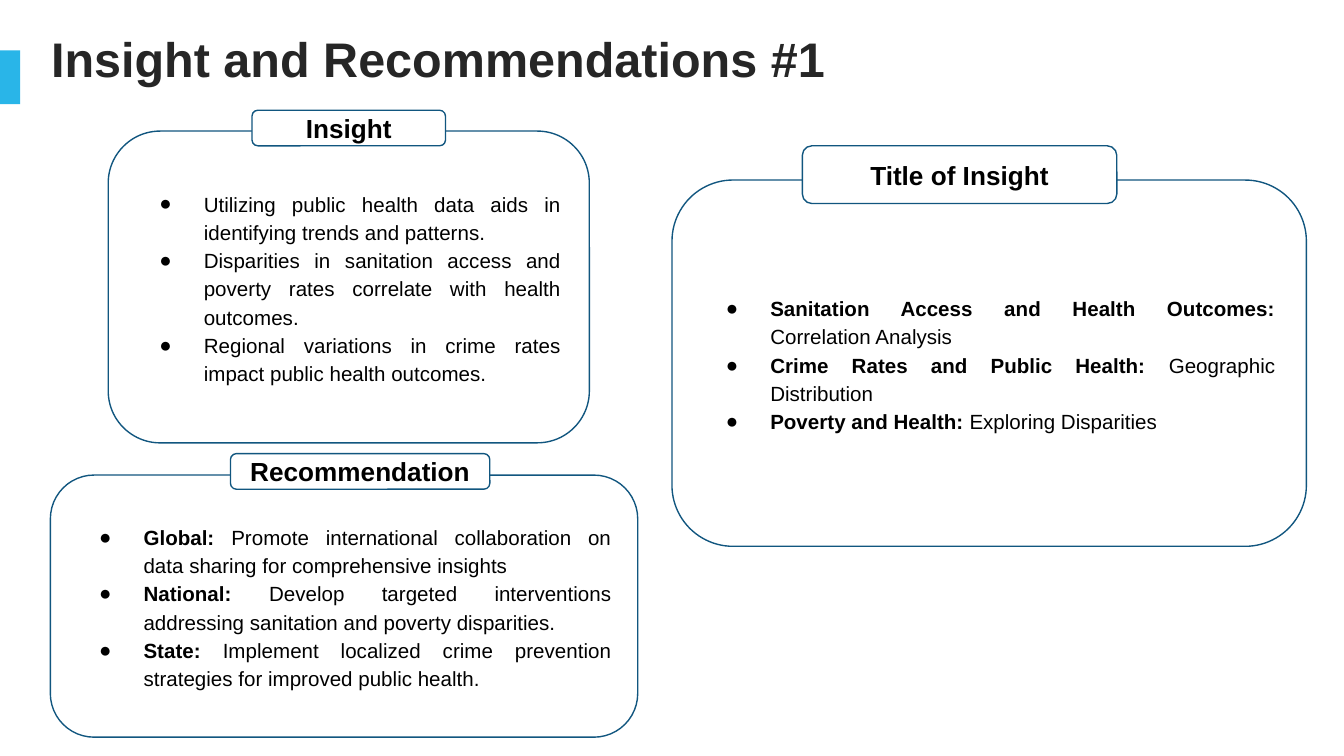
from dataclasses import dataclass
from typing import Any

from lxml.etree import SubElement
from pptx import Presentation
from pptx.dml.color import RGBColor
from pptx.enum.shapes import MSO_SHAPE
from pptx.enum.text import MSO_ANCHOR, MSO_AUTO_SIZE, PP_ALIGN
from pptx.oxml.ns import qn
from pptx.util import Inches, Pt

COLORS = {
    "accent": "29B5E8",
    "outline": "11567F",
    "panel": "FFFFFF",
    "title": "262626",
    "text": "000000",
}
CELL = Inches(0.1)
COLUMNS, ROWS = 100, 56.25
INSET = Inches(0.1)
FRAME_FORMAT = {
    "word_wrap": True,
    "margin_left": INSET,
    "margin_right": INSET,
    "margin_top": INSET,
    "margin_bottom": INSET,
}
PANEL_FRAME = FRAME_FORMAT | {"vertical_anchor": MSO_ANCHOR.MIDDLE}
TITLE_FRAME = FRAME_FORMAT | {
    "vertical_anchor": MSO_ANCHOR.TOP,
    "auto_size": MSO_AUTO_SIZE.NONE,
}
TITLE_PARAGRAPH = {"alignment": PP_ALIGN.LEFT, "line_spacing": 1.05, "space_after": Pt(10)}
BULLET_PARAGRAPH = {"alignment": PP_ALIGN.JUSTIFY, "line_spacing": 1.15}
LABEL_PARAGRAPH = {"alignment": PP_ALIGN.CENTER}
TITLE_FONT = {"name": "Arial", "size": Pt(26), "bold": True}
LABEL_FONT = {"name": "Arial", "size": Pt(14), "bold": True}
BODY_FONT = {"name": "Arial", "size": Pt(11)}


@dataclass(frozen=True)
class Area:
    column: float
    row: float
    columns: float
    rows: float

    def position(self) -> dict[str, int]:
        return {
            "left": round(self.column * CELL),
            "top": round(self.row * CELL),
            "width": round(self.columns * CELL),
            "height": round(self.rows * CELL),
        }


@dataclass(frozen=True)
class Item:
    text: str
    lead: str = ""


@dataclass(frozen=True)
class Panel:
    label: str
    label_area: Area
    area: Area
    items: tuple[Item, ...]


PANELS = (
    Panel(
        "Recommendation",
        Area(17.15, 33.75, 19.3, 2.65),
        Area(3.75, 35.35, 43.7, 19.5),
        (
            Item(" Promote international collaboration on data sharing for comprehensive insights", "Global:"),
            Item(" Develop targeted interventions addressing sanitation and poverty disparities.", "National:"),
            Item(" Implement localized crime prevention strategies for improved public health.", "State:"),
        ),
    ),
    Panel(
        "Insight",
        Area(18.75, 8.2, 14.4, 2.65),
        Area(8.05, 9.75, 35.8, 23.2),
        (
            Item("Utilizing public health data aids in identifying trends and patterns."),
            Item("Disparities in sanitation access and poverty rates correlate with health outcomes."),
            Item("Regional variations in crime rates impact public health outcomes."),
        ),
    ),
    Panel(
        "Title of Insight",
        Area(59.7, 10.85, 23.4, 4.3),
        Area(50, 13.4, 47.2, 27.25),
        (
            Item(" Correlation Analysis", "Sanitation Access and Health Outcomes:"),
            Item(" Geographic Distribution", "Crime Rates and Public Health:"),
            Item(" Exploring Disparities", "Poverty and Health:"),
        ),
    ),
)


def apply_format(target: Any, values: dict[str, Any]) -> None:
    for name, value in values.items():
        setattr(target, name, value)


def color(name: str) -> RGBColor:
    return RGBColor.from_string(COLORS[name])


def add_run(paragraph: Any, text: str, font: dict[str, Any], color_name: str = "text") -> None:
    run = paragraph.add_run()
    run.text = text
    apply_format(run.font, font)
    run.font.color.rgb = color(color_name)


def add_bullet(paragraph: Any) -> None:
    properties = paragraph._p.get_or_add_pPr()
    properties.set("marL", str(Inches(0.5)))
    properties.set("indent", str(Inches(-0.33)))
    bullet_color = SubElement(properties, qn("a:buClr"))
    SubElement(bullet_color, qn("a:srgbClr"), val=COLORS["text"])
    SubElement(properties, qn("a:buFont"), typeface="Arial")
    SubElement(properties, qn("a:buChar"), char="●")


def add_box(slide: Any, area: Area) -> Any:
    shape = slide.shapes.add_shape(MSO_SHAPE.ROUNDED_RECTANGLE, **area.position())
    shape.shadow.inherit = False
    shape.fill.solid()
    shape.fill.fore_color.rgb = color("panel")
    shape.line.color.rgb = color("outline")
    shape.line.width = Pt(0.75)
    apply_format(shape.text_frame, PANEL_FRAME)
    return shape


def add_panel(slide: Any, panel: Panel) -> None:
    text_frame = add_box(slide, panel.area).text_frame
    for index, item in enumerate(panel.items):
        paragraph = text_frame.add_paragraph() if index else text_frame.paragraphs[0]
        add_bullet(paragraph)
        apply_format(paragraph, BULLET_PARAGRAPH)
        if item.lead:
            add_run(paragraph, item.lead, BODY_FONT | {"bold": True})
        add_run(paragraph, item.text, BODY_FONT)

    label = add_box(slide, panel.label_area).text_frame.paragraphs[0]
    apply_format(label, LABEL_PARAGRAPH)
    add_run(label, panel.label, LABEL_FONT)


def add_accent(slide: Any, area: Area) -> None:
    shape = slide.shapes.add_shape(MSO_SHAPE.RECTANGLE, **area.position())
    shape.shadow.inherit = False
    shape.fill.solid()
    shape.fill.fore_color.rgb = color("accent")
    shape.line.fill.background()


def set_title(slide: Any, text: str, area: Area) -> None:
    title = slide.shapes.title
    apply_format(title, area.position())
    apply_format(title.text_frame, TITLE_FRAME)
    paragraph = title.text_frame.paragraphs[0]
    apply_format(paragraph, TITLE_PARAGRAPH)
    add_run(paragraph, text, TITLE_FONT, "title")


def main() -> None:
    presentation = Presentation()
    presentation.slide_width = round(COLUMNS * CELL)
    presentation.slide_height = round(ROWS * CELL)
    slide = presentation.slides.add_slide(presentation.slide_layouts.get_by_name("Title Only"))
    add_accent(slide, Area(0, 3.75, 1.5, 4))
    set_title(slide, "Insight and Recommendations #1", Area(2.8, 0.95, 60.5, 6.4))
    for panel in PANELS:
        add_panel(slide, panel)
    presentation.save("out.pptx")


if __name__ == "__main__":
    main()
